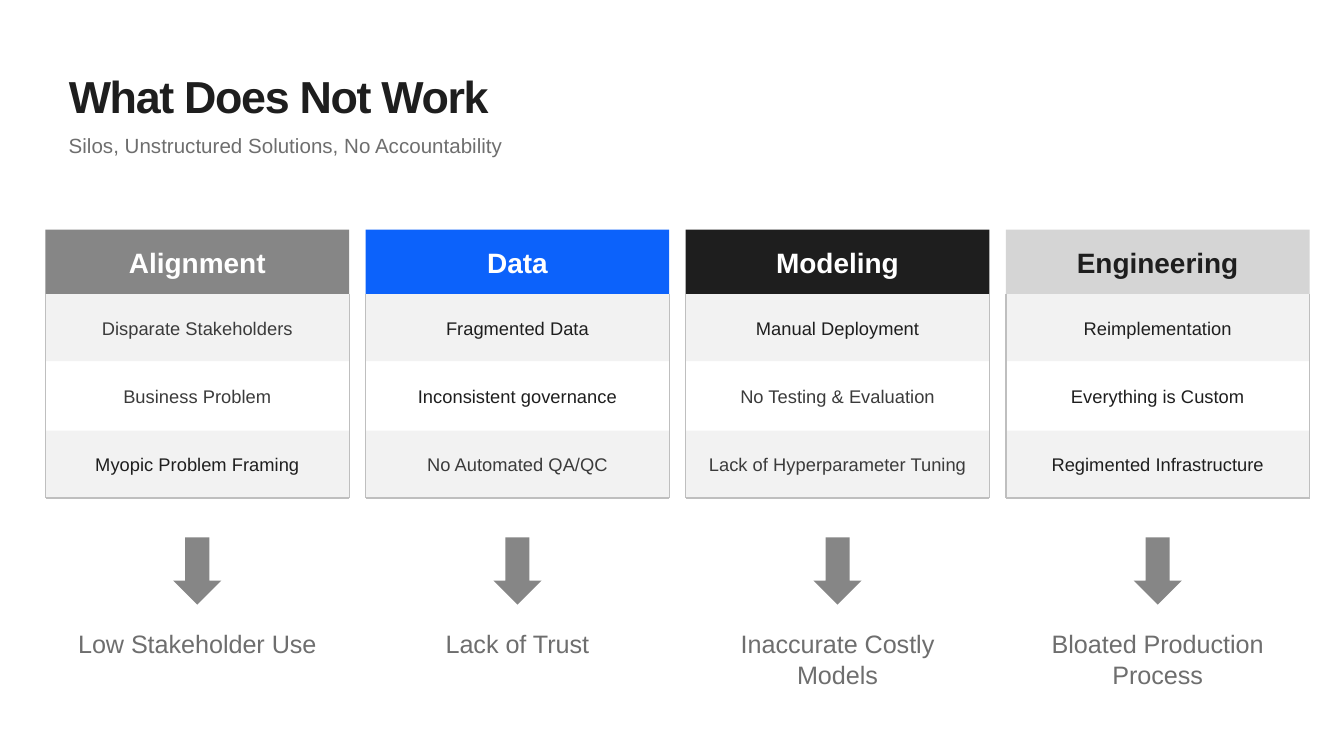
from dataclasses import dataclass

from lxml.etree import SubElement
from pptx import Presentation
from pptx.dml.color import RGBColor
from pptx.enum.shapes import MSO_CONNECTOR as Connector, MSO_SHAPE as Preset
from pptx.enum.text import MSO_ANCHOR as Anchor, MSO_AUTO_SIZE as AutoSize, PP_ALIGN as Align
from pptx.oxml.ns import qn
from pptx.util import Cm, Pt


@dataclass(frozen=True)
class Theme:
    font: str = "Arial"
    ink: str = "1E1E1E"
    soft_ink: str = "3B3B3B"
    muted: str = "6E6E6E"
    white: str = "FFFFFF"
    band: str = "F2F2F2"
    border: str = "BFBFBF"
    gray: str = "868686"
    blue: str = "0C62FB"
    light_gray: str = "D5D5D5"
    title_size: float = 24
    subtitle_size: float = 11
    header_size: float = 15
    row_size: float = 9.8
    outcome_size: float = 13.5


@dataclass(frozen=True)
class Column:
    heading: str
    fill: str
    heading_color: str
    rows: tuple[tuple[str, str], ...]
    outcome: str


THEME = Theme()
INK, SOFT = THEME.ink, THEME.soft_ink

COLUMNS = (
    Column("Alignment", THEME.gray, THEME.white,
           (("Disparate Stakeholders", SOFT), ("Business Problem", SOFT),
            ("Myopic Problem Framing", INK)), "Low Stakeholder Use"),
    Column("Data", THEME.blue, THEME.white,
           (("Fragmented Data", INK), ("Inconsistent governance", INK),
            ("No Automated QA/QC", SOFT)), "Lack of Trust"),
    Column("Modeling", THEME.ink, THEME.white,
           (("Manual Deployment", INK), ("No Testing & Evaluation", SOFT),
            ("Lack of Hyperparameter Tuning", SOFT)), "Inaccurate Costly Models"),
    Column("Engineering", THEME.light_gray, THEME.ink,
           (("Reimplementation", INK), ("Everything is Custom", INK),
            ("Regimented Infrastructure", INK)), "Bloated Production Process"),
)

# Lengths in centimetres
SLIDE_WIDTH, SLIDE_HEIGHT = 25.4, 14.29
TEXT_LEFT, TEXT_WIDTH = 1.3, 22.83
COLUMN_LEFT, COLUMN_PITCH, COLUMN_WIDTH = 0.86, 6.05, 5.74
HEADER_TOP, HEADER_HEIGHT = 4.34, 1.22
ROWS_TOP, ROW_PITCH, ROW_HEIGHT = 5.56, 1.29, 1.27
ROWS_BOTTOM = ROWS_TOP + 2 * ROW_PITCH + ROW_HEIGHT
ARROW_TOP, ARROW_WIDTH, ARROW_HEIGHT = 10.16, 0.91, 1.27
OUTCOME_TOP, OUTCOME_HEIGHT = 11.76, 1.57


def write(shape, text: str, size: float, color: str, bold: bool = False,
          align=Align.CENTER, anchor=Anchor.MIDDLE, inset: float = 0.18):
    """Fill the shape's only paragraph with one run and return that run."""
    frame = shape.text_frame
    frame.word_wrap = True
    frame.auto_size = AutoSize.NONE
    frame.vertical_anchor = anchor
    frame.margin_left = frame.margin_right = Cm(inset)
    frame.margin_top = frame.margin_bottom = Cm(inset / 2)
    paragraph = frame.paragraphs[0]
    paragraph.alignment = align
    run = paragraph.add_run()
    run.text = text
    run.font.name = THEME.font
    run.font.size = Pt(size)
    run.font.bold = bold
    run.font.color.rgb = RGBColor.from_string(color)
    return run


def add_block(slide, preset, left: float, top: float, width: float, height: float, fill: str):
    shape = slide.shapes.add_shape(preset, Cm(left), Cm(top), Cm(width), Cm(height))
    shape.shadow.inherit = False
    shape.fill.solid()
    shape.fill.fore_color.rgb = RGBColor.from_string(fill)
    shape.line.fill.background()
    return shape


def add_border(slide, start: tuple[float, float], end: tuple[float, float]) -> None:
    line = slide.shapes.add_connector(
        Connector.STRAIGHT, *(Cm(value) for value in (*start, *end)))
    line.line.color.rgb = RGBColor.from_string(THEME.border)
    line.line.width = Pt(0.75)
    SubElement(line._element.spPr, qn("a:effectLst"))


def add_text_box(slide, left: float, top: float, width: float, height: float):
    return slide.shapes.add_textbox(Cm(left), Cm(top), Cm(width), Cm(height))


def add_titles(slide) -> None:
    title = slide.shapes.title
    title.left, title.top = Cm(TEXT_LEFT), Cm(1.3)
    title.width, title.height = Cm(TEXT_WIDTH), Cm(1.02)
    run = write(title, "What Does Not Work", THEME.title_size, THEME.ink, bold=True,
                align=Align.LEFT, anchor=Anchor.TOP, inset=0)
    run._r.get_or_add_rPr().set("spc", "-70")
    subtitle = add_text_box(slide, TEXT_LEFT, 2.52, TEXT_WIDTH, 0.48)
    write(subtitle, "Silos, Unstructured Solutions, No Accountability",
          THEME.subtitle_size, THEME.muted, align=Align.LEFT, anchor=Anchor.TOP, inset=0)


def add_column(slide, column: Column, left: float) -> None:
    """Draw the header, banded rows, border, arrow and outcome from top to bottom."""
    right = left + COLUMN_WIDTH
    header = add_block(slide, Preset.RECTANGLE, left, HEADER_TOP,
                       COLUMN_WIDTH, HEADER_HEIGHT, column.fill)
    write(header, column.heading, THEME.header_size, column.heading_color, bold=True)

    for index, (text, color) in enumerate(column.rows):
        fill = THEME.white if index % 2 else THEME.band
        row = add_block(slide, Preset.RECTANGLE, left, ROWS_TOP + index * ROW_PITCH,
                        COLUMN_WIDTH, ROW_HEIGHT, fill)
        write(row, text, THEME.row_size, color)

    add_border(slide, (left, ROWS_BOTTOM), (right, ROWS_BOTTOM))
    for side in (left, right):
        add_border(slide, (side, ROWS_BOTTOM), (side, ROWS_TOP))

    add_block(slide, Preset.DOWN_ARROW, left + (COLUMN_WIDTH - ARROW_WIDTH) / 2, ARROW_TOP,
              ARROW_WIDTH, ARROW_HEIGHT, THEME.gray)
    outcome = add_text_box(slide, left, OUTCOME_TOP, COLUMN_WIDTH, OUTCOME_HEIGHT)
    write(outcome, column.outcome, THEME.outcome_size, THEME.muted,
          anchor=Anchor.TOP, inset=0.25)


def main() -> None:
    presentation = Presentation()
    presentation.slide_width = Cm(SLIDE_WIDTH)
    presentation.slide_height = Cm(SLIDE_HEIGHT)
    slide = presentation.slides.add_slide(presentation.slide_layouts[5])
    add_titles(slide)
    for index, column in enumerate(COLUMNS):
        add_column(slide, column, COLUMN_LEFT + index * COLUMN_PITCH)
    presentation.save("out.pptx")


if __name__ == "__main__":
    main()
